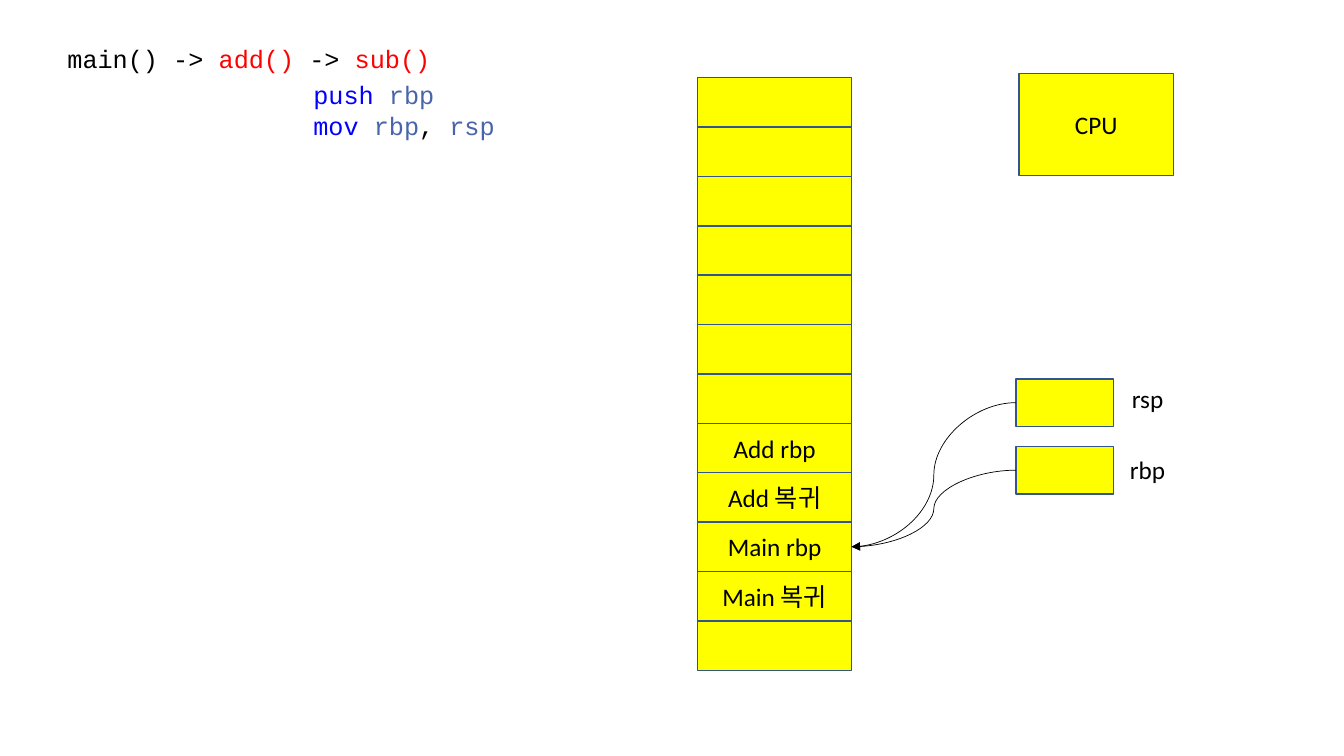
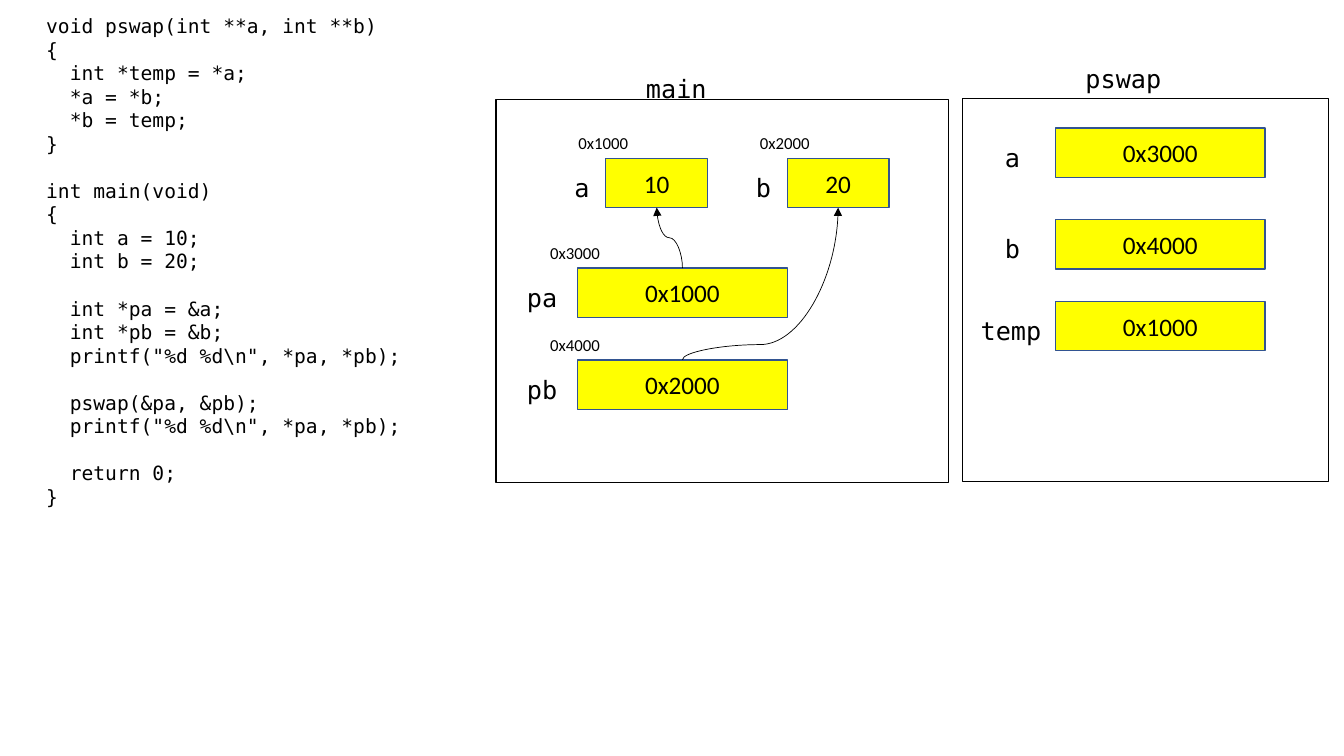
from pptx import Presentation
from pptx.dml.color import RGBColor
from pptx.enum.shapes import MSO_CONNECTOR as CONN, MSO_SHAPE as SHAPE
from pptx.enum.text import MSO_ANCHOR as ANCHOR, PP_ALIGN as ALIGN
from pptx.oxml.ns import qn
from pptx.util import Inches, Pt
from lxml.etree import SubElement

BLACK = RGBColor(0x00, 0x00, 0x00)
WHITE = RGBColor(0xFF, 0xFF, 0xFF)
YELLOW = RGBColor(0xFF, 0xFF, 0x00)
NAVY = RGBColor(0x32, 0x54, 0x91)
RED = RGBColor(0xFF, 0x00, 0x00)
BLUE = RGBColor(0x00, 0x00, 0xFF)
STEEL = RGBColor(0x48, 0x64, 0xAA)

BODY, COURIER, MONO = "Calibri", "Courier New", "DejaVu Sans Mono"
CELL = Inches(0.1)
COLS, ROWS = 133.33, 75
CELL_H = 4.9
TOP, LEFT, BOTTOM, RIGHT = range(4)

STACK = [""] * 7 + ["Add rbp", "Add 복귀", "Main rbp", "Main 복귀", ""]

CALLS = [[("main() -> ", BLACK), ("add() ", RED), ("-> ", BLACK), ("sub()", RED)]]
PROLOGUE = [
    [("push ", BLUE), ("rbp", STEEL)],
    [("mov ", BLUE), ("rbp", STEEL), (", ", BLACK), ("rsp", STEEL)],
]

CODE = r"""void pswap(int **a, int **b)
{
  int *temp = *a;
  *a = *b;
  *b = temp;
}

int main(void)
{
  int a = 10;
  int b = 20;

  int *pa = &a;
  int *pb = &b;
  printf("%d %d\n", *pa, *pb);

  pswap(&pa, &pb);
  printf("%d %d\n", *pa, *pb);

  return 0;
}"""


def grid(*cells):
    return [round(n * CELL) for n in cells]


def style(r, font, size, color=BLACK):
    r.font.name, r.font.size = font, Pt(size)
    r.font.color.rgb = color


def add_box(s, x, y, w, h, text="", fill=YELLOW, line=NAVY):
    sp = s.shapes.add_shape(SHAPE.RECTANGLE, *grid(x, y, w, h))
    sp.shadow.inherit = False
    sp.fill.solid()
    sp.fill.fore_color.rgb = fill
    sp.line.color.rgb, sp.line.width = line, Pt(1)
    if text:
        tf = sp.text_frame
        tf.text, tf.vertical_anchor = text, ANCHOR.MIDDLE
        tf.paragraphs[0].alignment = ALIGN.CENTER
        style(tf.paragraphs[0].runs[0], BODY, 18)
    return sp


def add_text_frame(s, x, y, w, h):
    tf = s.shapes.add_textbox(*grid(x, y, w, h)).text_frame
    tf.word_wrap = True
    return tf


def add_label(s, x, y, w, text, font=MONO, size=18, align=ALIGN.LEFT):
    p = add_text_frame(s, x, y, w, 4 if size > 12 else 3).paragraphs[0]
    p.text, p.alignment = text, align
    style(p.runs[0], font, size)


def add_colored_lines(s, x, y, w, h, lines):
    tf = add_text_frame(s, x, y, w, h)
    for i, pieces in enumerate(lines):
        p = tf.add_paragraph() if i else tf.paragraphs[0]
        for text, color in pieces:
            r = p.add_run()
            r.text = text
            style(r, COURIER, 18, color)


def add_code(s, x, y, w, h, code):
    tf = add_text_frame(s, x, y, w, h)
    p, gap = tf.paragraphs[0], 0
    for i, line in enumerate(code.split("\n")):
        if not line:
            gap = 16.8
            continue
        if i:
            p = tf.add_paragraph()
        p.text, p.space_before = line.strip(), Pt(gap)
        if line.startswith(" "):
            p._p.get_or_add_pPr().set("marL", str(Pt(16.86)))
        style(p.runs[0], MONO, 14)
        gap = 0


def turn_upward(c):
    goes_left = c.end_x < c.begin_x
    x, y, w, h = c.left, c.top, c.width, c.height
    c.left, c.top = x + (w - h) // 2, y + (h - w) // 2
    c.width, c.height = h, w
    xfrm = c._element.spPr.find(qn("a:xfrm"))
    xfrm.set("rot", str((270 if goes_left else 90) * 60000))
    xfrm.set("flipH", "0" if goes_left else "1")
    xfrm.set("flipV", "1")


def add_pointer(s, source, source_site, target, target_site, bend=None):
    c = s.shapes.add_connector(CONN.CURVE, 0, 0, 0, 0)
    c.begin_connect(source, source_site)
    c.end_connect(target, target_site)
    c.line.color.rgb, c.line.width = BLACK, Pt(0.5)
    spPr = c._element.spPr
    SubElement(spPr.find(qn("a:ln")), qn("a:tailEnd"), type="triangle")
    SubElement(spPr, qn("a:effectLst"))
    if source_site == TOP:
        turn_upward(c)
    if bend:
        av = spPr.find(qn("a:prstGeom")).get_or_add_avLst()
        SubElement(av, qn("a:gd"), name="adj1", fmla=f"val {round(bend * 100000)}")


def add_stack(s, x, y, w, values):
    return [add_box(s, x, y + i * CELL_H, w, CELL_H, v) for i, v in enumerate(values)]


def add_register(s, x, y, w, name, drop):
    add_label(s, x + w + 0.1, y + drop, 6.5, name, BODY, align=ALIGN.CENTER)
    return add_box(s, x, y, w, 4.7)


def add_variable(s, x, y, w, name, value, name_w=6, address=""):
    add_label(s, x - name_w, y + 0.9, name_w, name)
    if address:
        add_label(s, x - 3.7, y - 3, 7.4, address, BODY, 12)
    return add_box(s, x, y, w, CELL_H, value)


def add_scope(s, x, y, w, h, name, dx, dy, name_w):
    add_box(s, x, y, w, h, fill=WHITE, line=BLACK)
    add_label(s, x + dx, y + dy, name_w, name)


def add_main_scope(s, x, y, w, h):
    add_scope(s, x, y, w, h, "main", 13.9, -3.1, 8.8)
    a, b = (
        add_variable(s, x + dx, y + 5.8, 10.1, name, value, 4.1, address)
        for dx, name, value, address in
        [(10.9, "a", "10", "0x1000"), (28.9, "b", "20", "0x2000")]
    )
    pa, pb = (
        add_variable(s, x + 8.1, y + dy, 20.8, name, value, address=address)
        for dy, name, value, address in
        [(16.7, "pa", "0x1000", "0x3000"), (25.8, "pb", "0x2000", "0x4000")]
    )
    add_pointer(s, pa, TOP, a, BOTTOM)
    add_pointer(s, pb, TOP, b, BOTTOM, bend=0.1)


def add_pswap_scope(s, x, y, w, h):
    add_scope(s, x, y, w, h, "pswap", 11.2, -4, 18.3)
    for dy, name, value, name_w in [
        (2.9, "a", "0x3000", 6), (12, "b", "0x4000", 6), (20.1, "temp", "0x1000", 8.4),
    ]:
        add_variable(s, x + 9.2, y + dy, 20.8, name, value, name_w)


def build_call_stack(s):
    cells = add_stack(s, 69.2, 7.7, 15.3, STACK)
    add_box(s, 101.1, 7.3, 15.3, 10.1, "CPU")
    add_colored_lines(s, 5.7, 3.8, 42.9, 4, CALLS)
    add_colored_lines(s, 30.1, 7.4, 23.3, 7.1, PROLOGUE)
    main_rbp = cells[STACK.index("Main rbp")]
    for y, name, drop in [(44.3, "rbp", 0.3), (37.6, "rsp", -0.1)]:
        register = add_register(s, 100.8, y, 9.7, name, drop)
        add_pointer(s, register, LEFT, main_rbp, RIGHT)


def build_pointer_swap(s):
    add_code(s, 3.6, 0.9, 43.9, 50.5, CODE)
    add_main_scope(s, 49.2, 9.9, 44.9, 38)
    add_pswap_scope(s, 95.5, 9.8, 36.3, 38)


def main():
    prs = Presentation()
    prs.slide_width, prs.slide_height = grid(COLS, ROWS)
    blank = prs.slide_layouts[6]
    for build in (build_call_stack, build_pointer_swap):
        build(prs.slides.add_slide(blank))
    prs.save("out.pptx")


if __name__ == "__main__":
    main()
